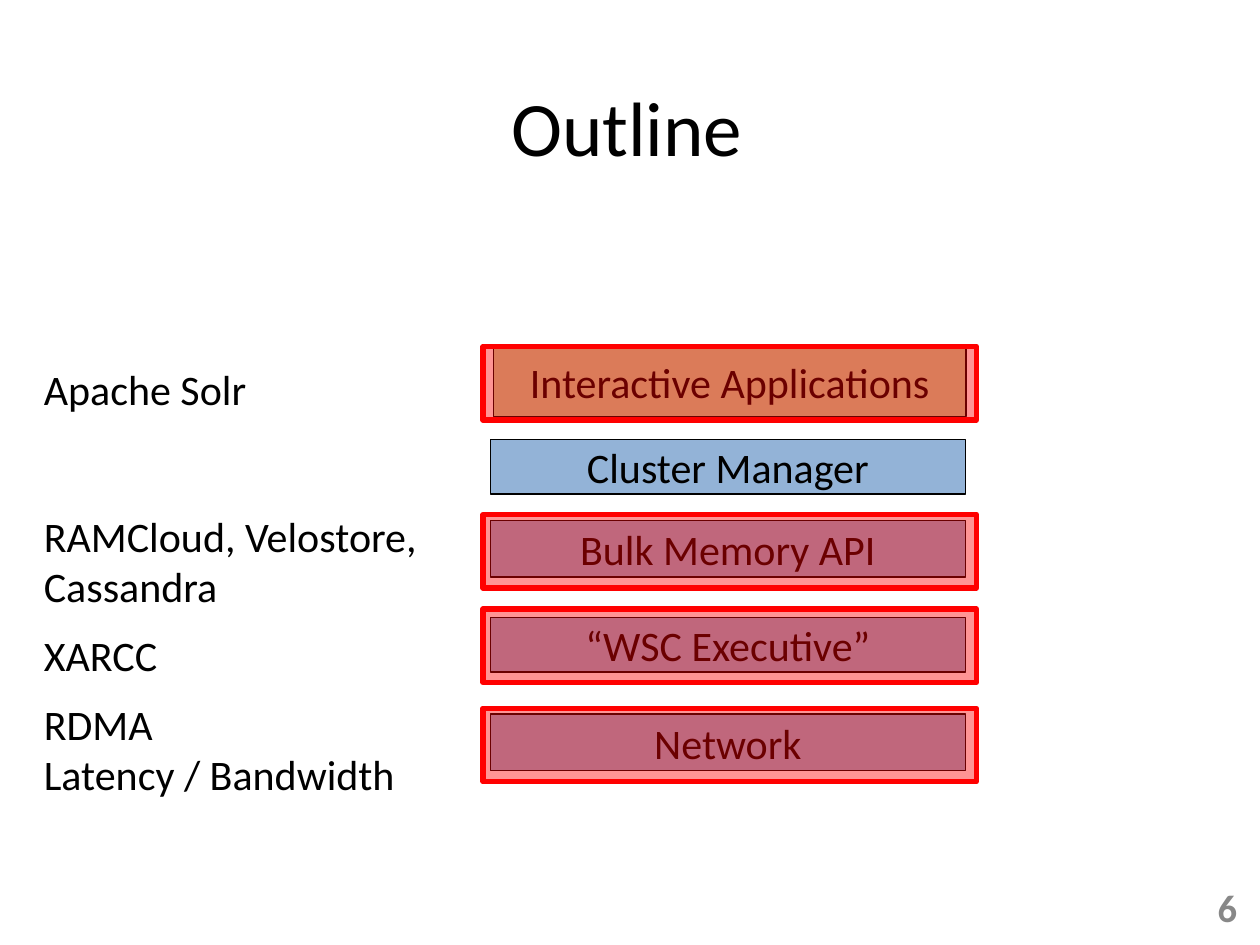
from typing import NamedTuple, Optional

from pptx import Presentation
from pptx import util as u
from pptx.dml.color import RGBColor
from pptx.enum import shapes, text
from pptx.oxml.xmlchemy import OxmlElement

COLS, ROWS = 120, 90
BLACK, BLUE, GREEN, RED, GRAY = "000000", "93B3D7", "C2D59B", "FF0000", "888888"
LEFT, CENTER, RIGHT = text.PP_ALIGN.LEFT, text.PP_ALIGN.CENTER, text.PP_ALIGN.RIGHT


class Area(NamedTuple):
    """A place on the slide, in grid columns and rows."""
    col: float
    row: float
    cols: float
    rows: float


class Layer(NamedTuple):
    name: str
    area: Area
    fill: str = BLUE
    highlight_row: Optional[float] = None


class Label(NamedTuple):
    lines: str
    area: Area


LAYERS = [
    Layer("Interactive Applications", Area(47, 33, 45, 6.7), GREEN, 33),
    Layer("Cluster Manager", Area(46.7, 41.85, 45.25, 5.2)),
    Layer("Bulk Memory API", Area(46.7, 49.55, 45.25, 5.4), highlight_row=49),
    Layer("“WSC Executive”", Area(46.7, 58.8, 45.25, 5.2), highlight_row=58),
    Layer("Network", Area(46.7, 68, 45.25, 5.4), highlight_row=67.45),
]
LABELS = [
    Label("Apache Solr", Area(3, 34, 21.8, 6)),
    Label("RAMCloud, Velostore,\nCassandra", Area(3, 48, 39.1, 10.9)),
    Label("XARCC", Area(3, 59.4, 13.3, 6)),
    Label("RDMA\nLatency / Bandwidth", Area(3, 65.9, 36.2, 10.9)),
]

prs = Presentation()
prs.slide_width, prs.slide_height = u.Inches(10), u.Inches(7.5)
slide = prs.slides.add_slide(prs.slide_layouts[5])


def rgb(color: str) -> RGBColor:
    return RGBColor.from_string(color)


def place(area: Area) -> list[int]:
    w, h = prs.slide_width / COLS, prs.slide_height / ROWS
    return [round(n * unit) for n, unit in zip(area, (w, h, w, h))]


def write(sp, words: str, align, size: float = 24, color: str = BLACK,
          bold: bool = False, **frame) -> None:
    tf = sp.text_frame
    tf.text = words
    for name, value in frame.items():
        setattr(tf, name, value)
    font = {"name": "Calibri", "size": u.Pt(size), "bold": bold}
    for p in tf.paragraphs:
        p.alignment = align
        for r in p.runs:
            for name, value in font.items():
                setattr(r.font, name, value)
            r.font.color.rgb = rgb(color)


def add_rect(area: Area, fill: str, line: str, width: float):
    sp = slide.shapes.add_shape(shapes.MSO_SHAPE.RECTANGLE, *place(area))
    sp.shadow.inherit = False
    sp.fill.solid()
    sp.fill.fore_color.rgb = rgb(fill)
    sp.line.color.rgb = rgb(line)
    sp.line.width = u.Pt(width)
    return sp


def add_layer(layer: Layer) -> None:
    sp = add_rect(layer.area, layer.fill, BLACK, 0.75)
    write(sp, layer.name, CENTER, vertical_anchor=text.MSO_ANCHOR.MIDDLE)
    if layer.highlight_row is not None:
        add_highlight(layer.highlight_row)


def add_highlight(row: float) -> None:
    sp = add_rect(Area(46, row, 47, 7), RED, RED, 3)
    alpha = OxmlElement("a:alpha")
    alpha.set("val", "42000")
    sp.fill._xPr.find(".//{*}solidFill/{*}srgbClr").append(alpha)


def add_text(words: str, area: Area, align, **style) -> None:
    write(slide.shapes.add_textbox(*place(area)), words, align, **style)


title = slide.shapes.title
title.left, title.top, title.width, title.height = place(Area(2.4, 7, 114.6, 10))
write(title, "Outline", CENTER, 44)
for layer in LAYERS:
    add_layer(layer)
for label in LABELS:
    add_text(label.lines, label.area, LEFT, word_wrap=False,
             auto_size=text.MSO_AUTO_SIZE.SHAPE_TO_FIT_TEXT)
add_text("6", Area(91, 84, 28, 4.8), RIGHT, size=22, color=GRAY, bold=True,
         word_wrap=True, vertical_anchor=text.MSO_ANCHOR.MIDDLE)

prs.save("out.pptx")
